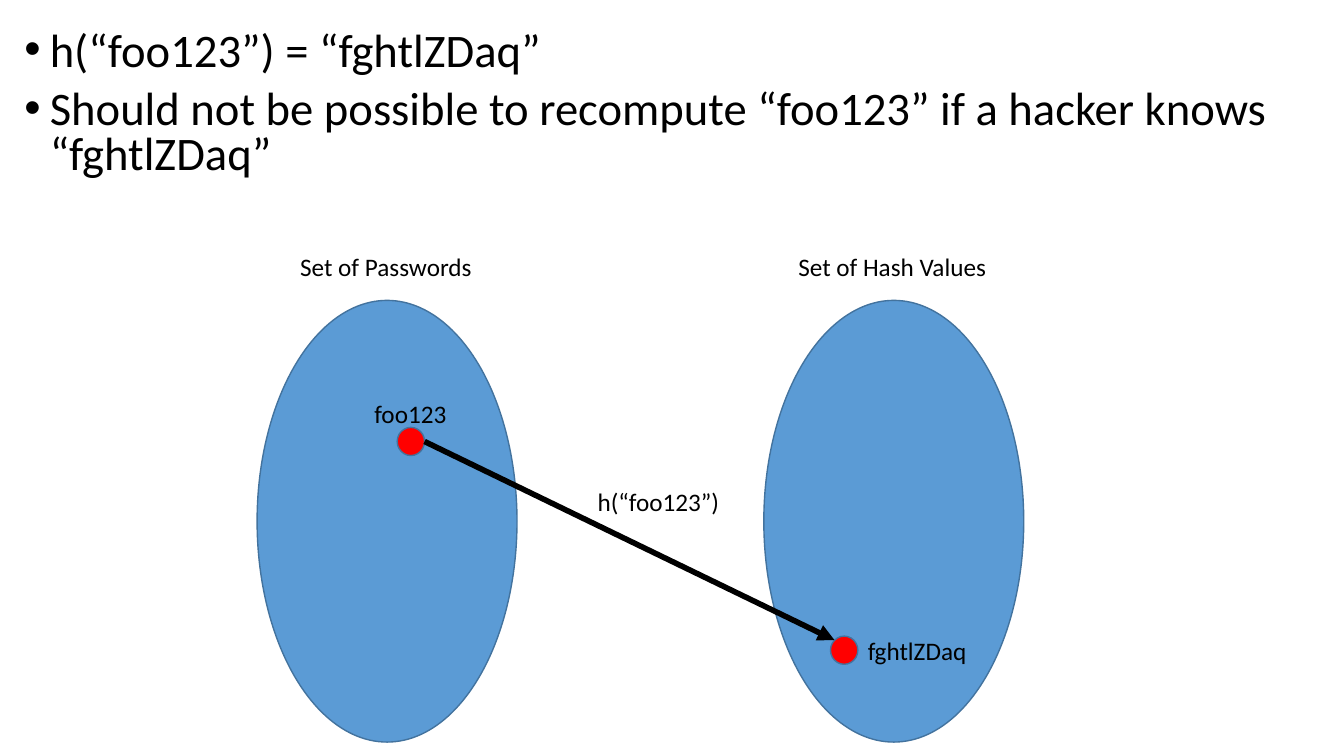
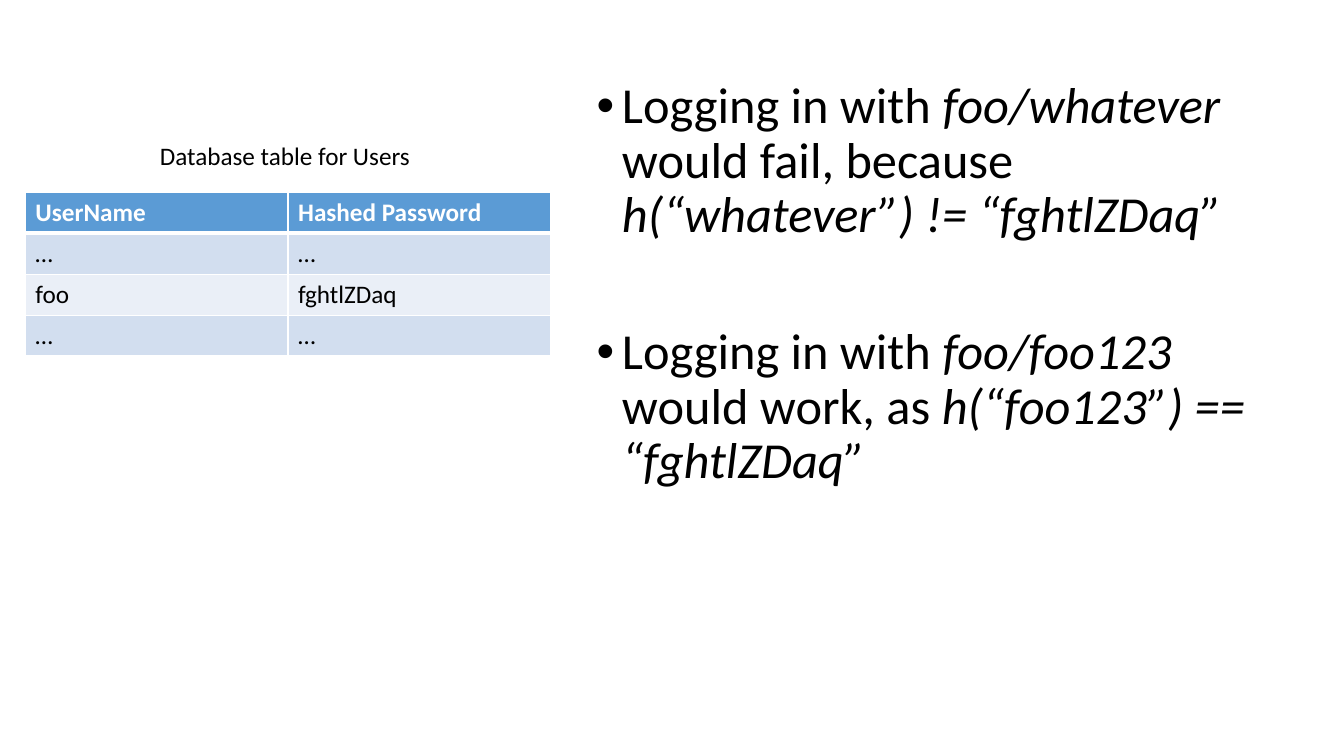
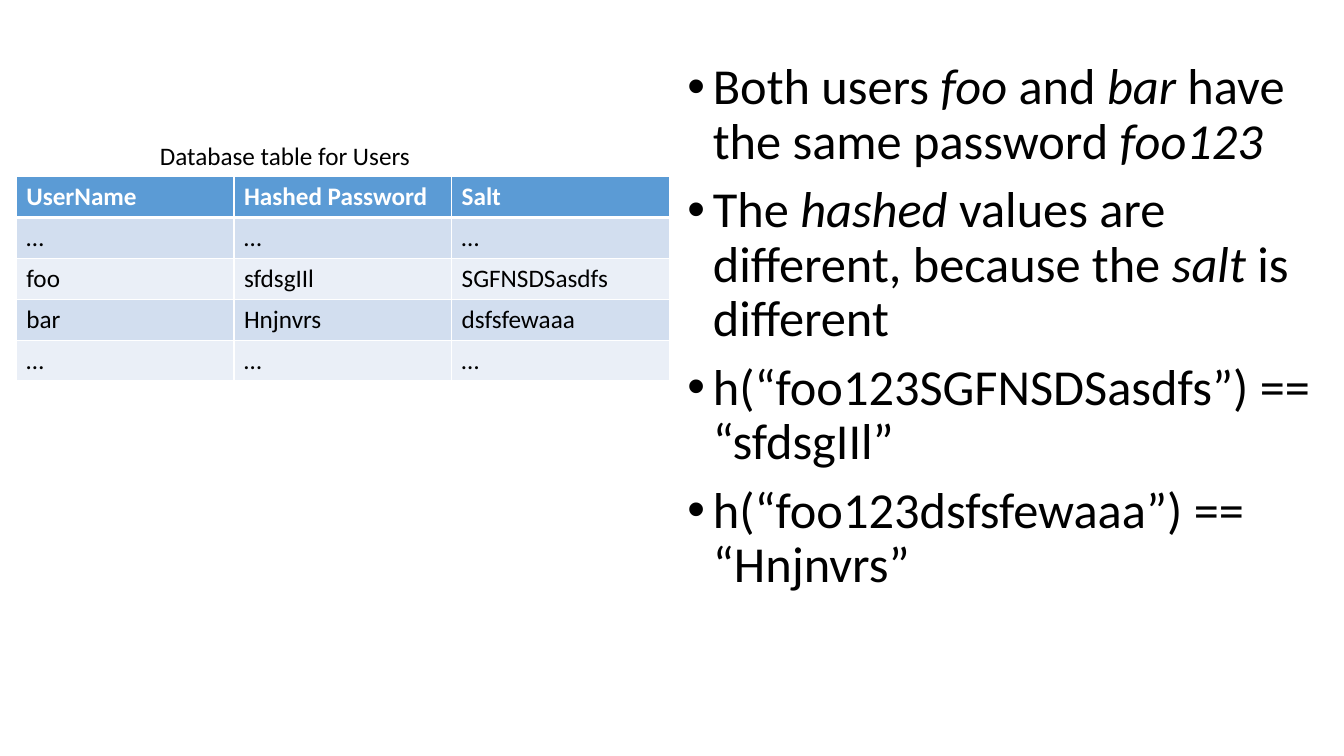
from lxml.etree import SubElement
from pptx import Presentation
from pptx.dml.color import RGBColor
from pptx.enum.shapes import MSO_CONNECTOR, MSO_SHAPE
from pptx.enum.text import MSO_ANCHOR, MSO_AUTO_SIZE
from pptx.oxml.ns import qn
from pptx.util import Cm, Pt

FONT = "Calibri"
BLACK = RGBColor(0x00, 0x00, 0x00)
WHITE = RGBColor(0xFF, 0xFF, 0xFF)
BLUE = RGBColor(0x5B, 0x9B, 0xD5)
OUTLINE = RGBColor(0x43, 0x73, 0x9E)
RED = RGBColor(0xFF, 0x00, 0x00)
BAND_DARK = RGBColor(0xD2, 0xDE, 0xEF)
BAND_LIGHT = RGBColor(0xEA, 0xEF, 0xF7)

SET_WIDTH, SET_HEIGHT = 6.55, 11.13
DOT_WIDTH, DOT_HEIGHT = 0.69, 0.71
LABEL_HEIGHT = 1.02
ROW_HEIGHT = 1.03
CAPTION = "Database table for Users"


def add_run(paragraph, text, size=18, color=BLACK, bold=False, italic=False):
    run = paragraph.add_run()
    run.text = text
    font = run.font
    font.name, font.size = FONT, Pt(size)
    font.bold, font.italic = bold, italic
    font.color.rgb = color


def add_bullet_slide(presentation, box, bullets, size=36, line_spacing=0.9, gap=10):
    """Each bullet is a list of pieces, alternately upright and italic."""
    slide = presentation.slides.add_slide(presentation.slide_layouts[1])
    title = slide.shapes.title.element
    title.getparent().remove(title)
    body = slide.placeholders[1]
    body.left, body.top, body.width, body.height = (Cm(value) for value in box)
    frame = body.text_frame
    frame.word_wrap = True
    frame.auto_size = MSO_AUTO_SIZE.NONE
    frame.vertical_anchor = MSO_ANCHOR.TOP
    for index, pieces in enumerate(bullets):
        paragraph = frame.add_paragraph() if index else frame.paragraphs[0]
        properties = paragraph._p.get_or_add_pPr()
        properties.set("marL", str(Cm(0.64)))
        properties.set("indent", str(-Cm(0.64)))
        SubElement(properties, qn("a:buFont"), typeface="Arial")
        SubElement(properties, qn("a:buChar"), char="•")
        paragraph.line_spacing = line_spacing
        paragraph.space_before = Pt(gap if index else 0)
        for position, piece in enumerate(pieces):
            add_run(paragraph, piece, size, italic=position % 2 == 1)
    return slide


def add_label(slide, left, top, width, text):
    box = slide.shapes.add_textbox(Cm(left), Cm(top), Cm(width), Cm(LABEL_HEIGHT))
    box.text_frame.word_wrap = False
    add_run(box.text_frame.paragraphs[0], text)


def add_ellipse(slide, left, top, width, height, color):
    ellipse = slide.shapes.add_shape(
        MSO_SHAPE.OVAL, Cm(left), Cm(top), Cm(width), Cm(height))
    ellipse.shadow.inherit = False
    ellipse.fill.solid()
    ellipse.fill.fore_color.rgb = color
    ellipse.line.color.rgb = OUTLINE
    ellipse.line.width = Pt(1)


def add_value_set(slide, left, top, heading, heading_width, dot_x, dot_y):
    """Draw a headed set with one member; return the member's top left corner."""
    add_ellipse(slide, left, top, SET_WIDTH, SET_HEIGHT, BLUE)
    add_label(slide, left + (SET_WIDTH - heading_width) / 2, top - 1.35,
              heading_width, heading)
    add_ellipse(slide, left + dot_x, top + dot_y, DOT_WIDTH, DOT_HEIGHT, RED)
    return left + dot_x, top + dot_y


def add_arrow(slide, start, end):
    arrow = slide.shapes.add_connector(
        MSO_CONNECTOR.STRAIGHT, *(Cm(value) for value in (*start, *end)))
    arrow.line.color.rgb = BLACK
    arrow.line.width = Pt(4)
    SubElement(arrow.line._get_or_add_ln(), qn("a:tailEnd"), type="triangle")
    SubElement(arrow._element.spPr, qn("a:effectLst"))


def add_hash_mapping(slide, left, top):
    password_x, password_y = add_value_set(
        slide, left, top, "Set of Passwords", 4.88, 3.53, 3.2)
    hash_x, hash_y = add_value_set(
        slide, left + 12.77, top, "Set of Hash Values", 5.31, 1.68, 8.46)
    add_arrow(slide, (password_x + DOT_WIDTH, password_y + DOT_HEIGHT / 2),
              (hash_x + 0.1, hash_y + 0.1))
    add_label(slide, password_x + (DOT_WIDTH - 2.34) / 2, password_y - 0.86,
              2.34, "foo123")
    add_label(slide, hash_x + DOT_WIDTH, hash_y - 0.15, 3.02, "fghtlZDaq")
    add_label(slide, left + 8.33, top + 4.55, 3.61, "h(“foo123”)")


def set_borders(cell, top, bottom):
    properties = cell._tc.get_or_add_tcPr()
    for side, width in (("L", 1), ("R", 1), ("T", top), ("B", bottom)):
        line = SubElement(properties, qn(f"a:ln{side}"), w=str(Pt(width)))
        fill = SubElement(line, qn("a:solidFill"))
        SubElement(fill, qn("a:srgbClr"), val=str(WHITE))


def add_users_table(slide, left, top, width, rows):
    add_label(slide, 3.78, 3.4, 6.88, CAPTION)
    columns = len(rows[0])
    table = slide.shapes.add_table(
        len(rows), columns, Cm(left), Cm(top), Cm(width),
        Cm(ROW_HEIGHT * len(rows))).table
    for column in table.columns:
        column.width = Cm(width / columns)
    for row_index, row in enumerate(rows):
        header = row_index == 0
        band = BAND_DARK if row_index % 2 else BAND_LIGHT
        for column_index, text in enumerate(row):
            cell = table.cell(row_index, column_index)
            set_borders(cell, 3 if row_index == 1 else 1, 3 if header else 1)
            cell.fill.solid()
            cell.fill.fore_color.rgb = BLUE if header else band
            add_run(cell.text_frame.paragraphs[0], text,
                    color=WHITE if header else BLACK, bold=header)


def main():
    presentation = Presentation()
    presentation.slide_width, presentation.slide_height = Cm(33.87), Cm(19.05)

    slide = add_bullet_slide(presentation, (0.36, 0.66, 32.11, 4.34), [
        ["h(“foo123”) = “fghtlZDaq”"],
        ["Should not be possible to recompute “foo123” if a hacker knows "
         "“fghtlZDaq”"],
    ], size=33.3, line_spacing=0.8)
    add_hash_mapping(slide, 6.48, 7.57)

    slide = add_bullet_slide(presentation, (14.78, 1.9, 18.26, 15.57), [
        ["Logging in with ", "foo/whatever", " would fail, because ",
         "h(“whatever”) != “fghtlZDaq”"],
        ["Logging in with ", "foo/foo123 ", "would work, as ",
         "h(“foo123”) == “fghtlZDaq”"],
    ], gap=59)
    add_users_table(slide, 0.64, 4.85, 13.24, [
        ["UserName", "Hashed Password"],
        ["…", "…"],
        ["foo", "fghtlZDaq"],
        ["…", "…"],
    ])

    slide = add_bullet_slide(presentation, (17.07, 1.42, 16.26, 15.75), [
        ["Both users ", "foo", " and ", "bar", " have the same password ", "foo123"],
        ["The ", "hashed", " values are different, because the ", "salt",
         " is different"],
        ["h(“foo123SGFNSDSasdfs”) == “sfdsgIIl”"],
        ["h(“foo123dsfsfewaaa”) == “Hnjnvrs”"],
    ])
    add_users_table(slide, 0.41, 4.45, 16.46, [
        ["UserName", "Hashed Password", "Salt"],
        ["…", "…", "…"],
        ["foo", "sfdsgIIl", "SGFNSDSasdfs"],
        ["bar", "Hnjnvrs", "dsfsfewaaa"],
        ["…", "…", "…"],
    ])

    presentation.save("out.pptx")


if __name__ == "__main__":
    main()
